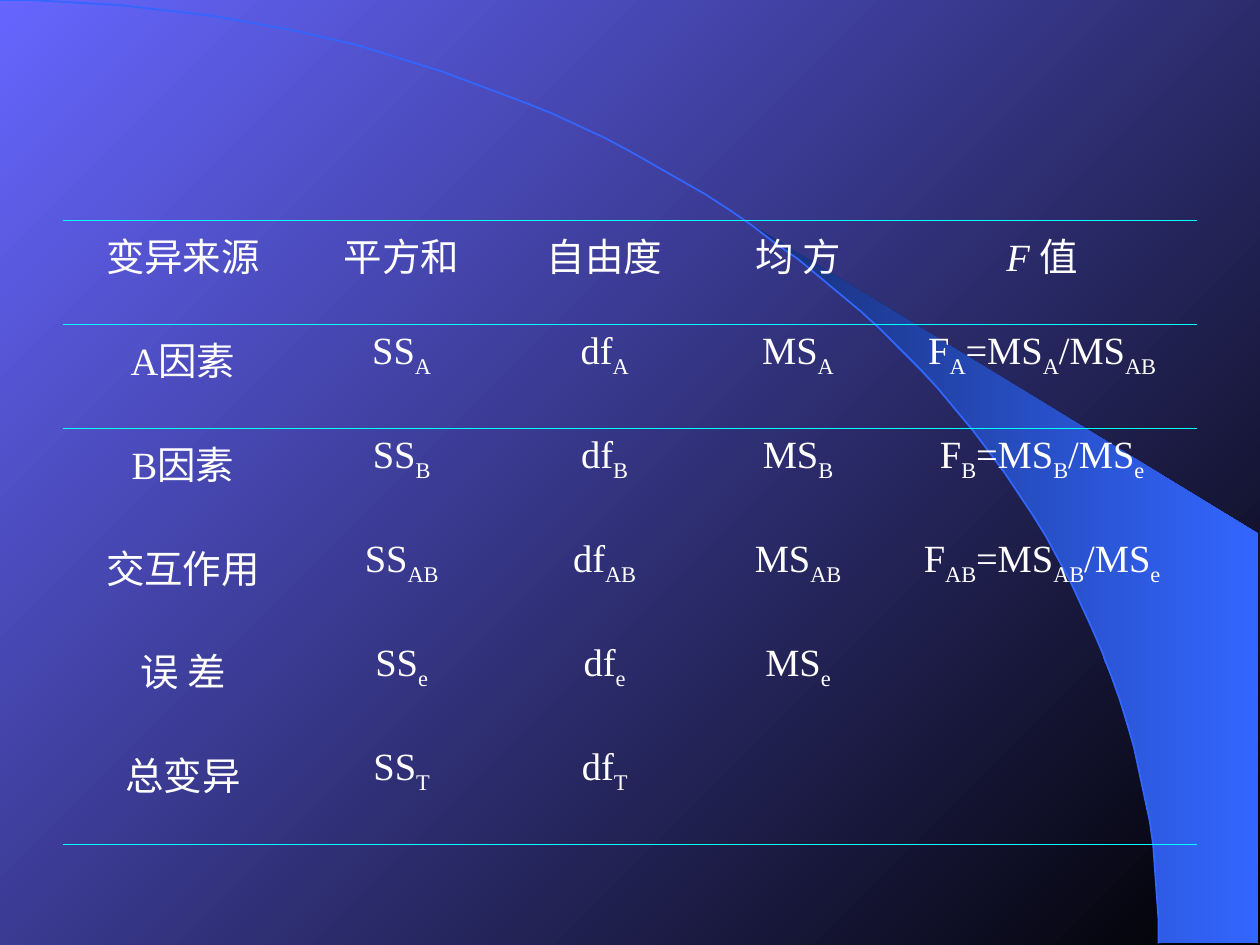
import math

from lxml import etree
from pptx import Presentation
from pptx import util as u
from pptx.dml.color import RGBColor
from pptx.enum import text
from pptx.oxml.ns import qn

Pt = u.Pt
COLORS = {
    "sky": "6666FF",
    "night": "000000",
    "swoosh_dark": "182F76",
    "swoosh": "3366FF",
    "rule": "00FFFF",
    "text": "FFFFFF",
}
WIDTH, HEIGHT = 720, 540
ARC_WIDTH, ARC_HEIGHT = 662.4, 539.3
SWOOSH_START = 39.8
SWOOSH_RIGHT, SWOOSH_TOP = 719.3, 304.6

TABLE_LEFT, TABLE_TOP, ROW_HEIGHT = 36, 126, 59.4
COLUMN_WIDTHS = [137, 113, 119, 102, 177]
NO_STYLE_NO_GRID = "{2D5ABB26-0587-4C30-8999-92F81FD0307C}"

# "_" starts a subscript, "|" returns to the baseline, "*" marks italics.
ROWS = [
    ["变异来源", "平方和", "自由度", "均 方", "*F |值"],
    ["A因素", "SS_A", "df_A", "MS_A", "F_A|=MS_A|/MS_AB"],
    ["B因素", "SS_B", "df_B", "MS_B", "F_B|=MS_B|/MS_e"],
    ["交互作用", "SS_AB", "df_AB", "MS_AB", "F_AB|=MS_AB|/MS_e"],
    ["误 差", "SS_e", "df_e", "MS_e", ""],
    ["总变异", "SS_T", "df_T", "", ""],
]


def color(name):
    return RGBColor.from_string(COLORS[name])


def set_gradient(fill, start, end, angle):
    fill.gradient()
    fill.gradient_angle = angle
    for stop, name in zip(fill.gradient_stops, (start, end)):
        stop.color.rgb = color(name)


def arc_points(start_angle, steps=60):
    """Points on the quarter ellipse, from start_angle degrees to its lower right end."""
    angles = [math.radians(start_angle + (90 - start_angle) * step / steps)
              for step in range(steps + 1)]
    return [(ARC_WIDTH * math.sin(angle), ARC_HEIGHT * (1 - math.cos(angle)))
            for angle in angles]


def add_outline(slide, points, close):
    builder = slide.shapes.build_freeform(*points[0], scale=Pt(1))
    builder.add_line_segments(points[1:], close=close)
    shape = builder.convert_to_shape()
    shape.shadow.inherit = False
    return shape


def add_decoration(slide):
    corners = [(SWOOSH_RIGHT, ARC_HEIGHT), (SWOOSH_RIGHT, SWOOSH_TOP)]
    swoosh = add_outline(slide, arc_points(SWOOSH_START) + corners, close=True)
    set_gradient(swoosh.fill, "swoosh_dark", "swoosh", 0)
    swoosh.line.fill.background()

    arc = add_outline(slide, arc_points(0), close=False)
    arc.fill.background()
    arc.line.color.rgb = color("swoosh")
    arc.line.width = Pt(1)


def add_span(para, content, **extra):
    span = para.add_run()
    span.text = content
    formats = {"name": "Times New Roman", "size": Pt(22), **extra}
    for key, value in formats.items():
        setattr(span.font, key, value)
    span.font.color.rgb = color("text")
    return span


def write_cell(cell, content):
    para = cell.text_frame.paragraphs[0]
    para.alignment = text.PP_ALIGN.CENTER
    for piece in filter(None, content.split("|")):
        base, _, subscript = piece.partition("_")
        if base.startswith("*"):
            add_span(para, base[1:], italic=True)
        else:
            add_span(para, base)
        if subscript:
            span = add_span(para, subscript)
            span.font._element.set("baseline", "-25000")


def add_border(cell, side):
    properties = cell._tc.get_or_add_tcPr()
    line = etree.SubElement(properties, qn(f"a:{side}"), w=str(Pt(0.45)))
    fill = etree.SubElement(line, qn("a:solidFill"))
    etree.SubElement(fill, qn("a:srgbClr"), val=COLORS["rule"])


def add_variance_table(slide):
    frame = slide.shapes.add_table(
        len(ROWS), len(COLUMN_WIDTHS), Pt(TABLE_LEFT), Pt(TABLE_TOP),
        Pt(sum(COLUMN_WIDTHS)), Pt(ROW_HEIGHT * len(ROWS)))
    table = frame.table
    table.first_row = table.horz_banding = False
    table._tbl.tblPr.find(qn("a:tableStyleId")).text = NO_STYLE_NO_GRID
    for column, width in zip(table.columns, COLUMN_WIDTHS):
        column.width = Pt(width)
    borders = {0: ["lnT", "lnB"], 1: ["lnT"], len(ROWS) - 1: ["lnB"]}
    for row_index, contents in enumerate(ROWS):
        table.rows[row_index].height = Pt(ROW_HEIGHT)
        for column_index, content in enumerate(contents):
            cell = table.cell(row_index, column_index)
            write_cell(cell, content)
            for side in borders.get(row_index, []):
                add_border(cell, side)
            cell.fill.background()


def main():
    deck = Presentation()
    deck.slide_width, deck.slide_height = Pt(WIDTH), Pt(HEIGHT)
    slide = deck.slides.add_slide(deck.slide_layouts.get_by_name("Blank"))
    set_gradient(slide.background.fill, "sky", "night", 315)
    add_decoration(slide)
    add_variance_table(slide)
    deck.save("out.pptx")


if __name__ == "__main__":
    main()
